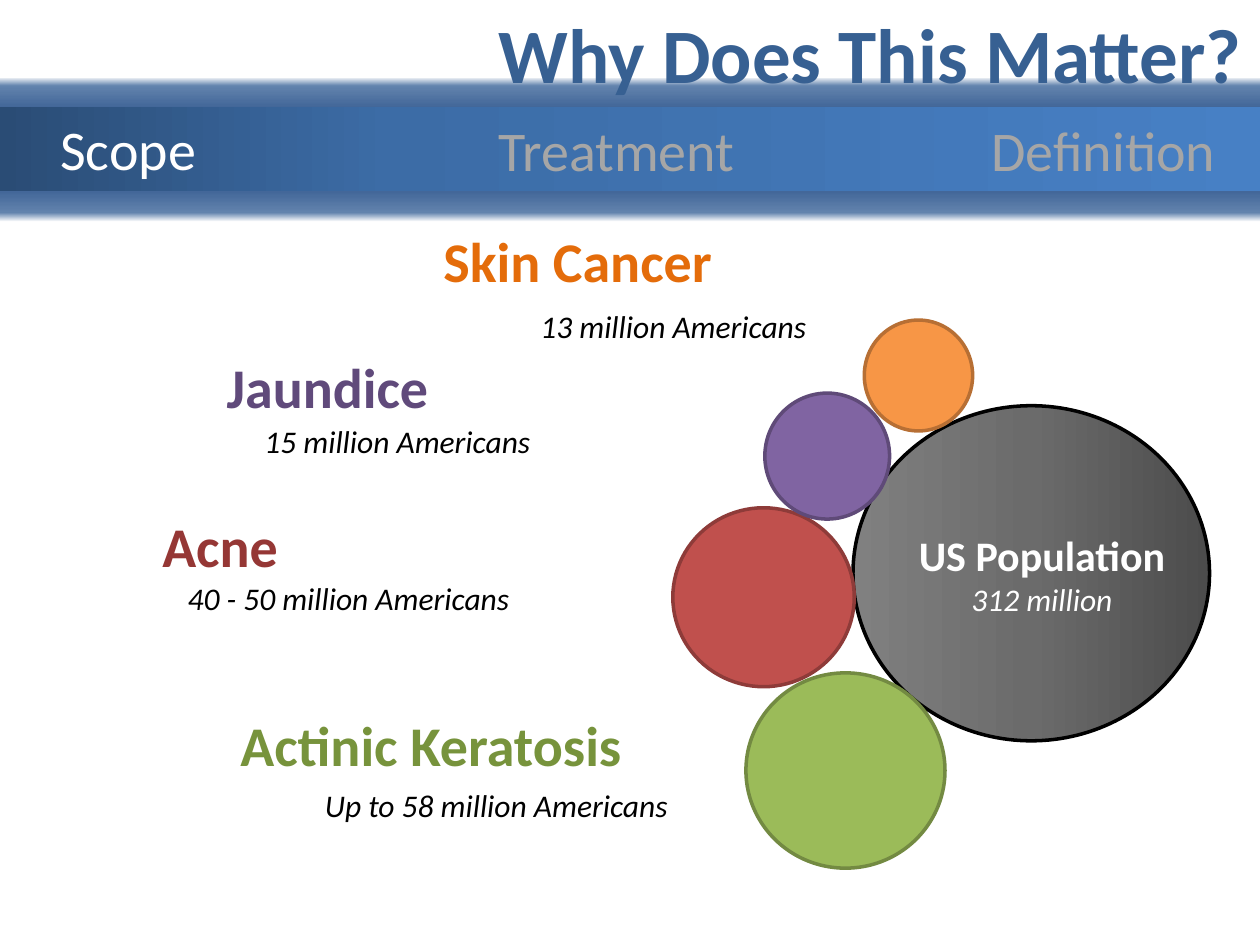
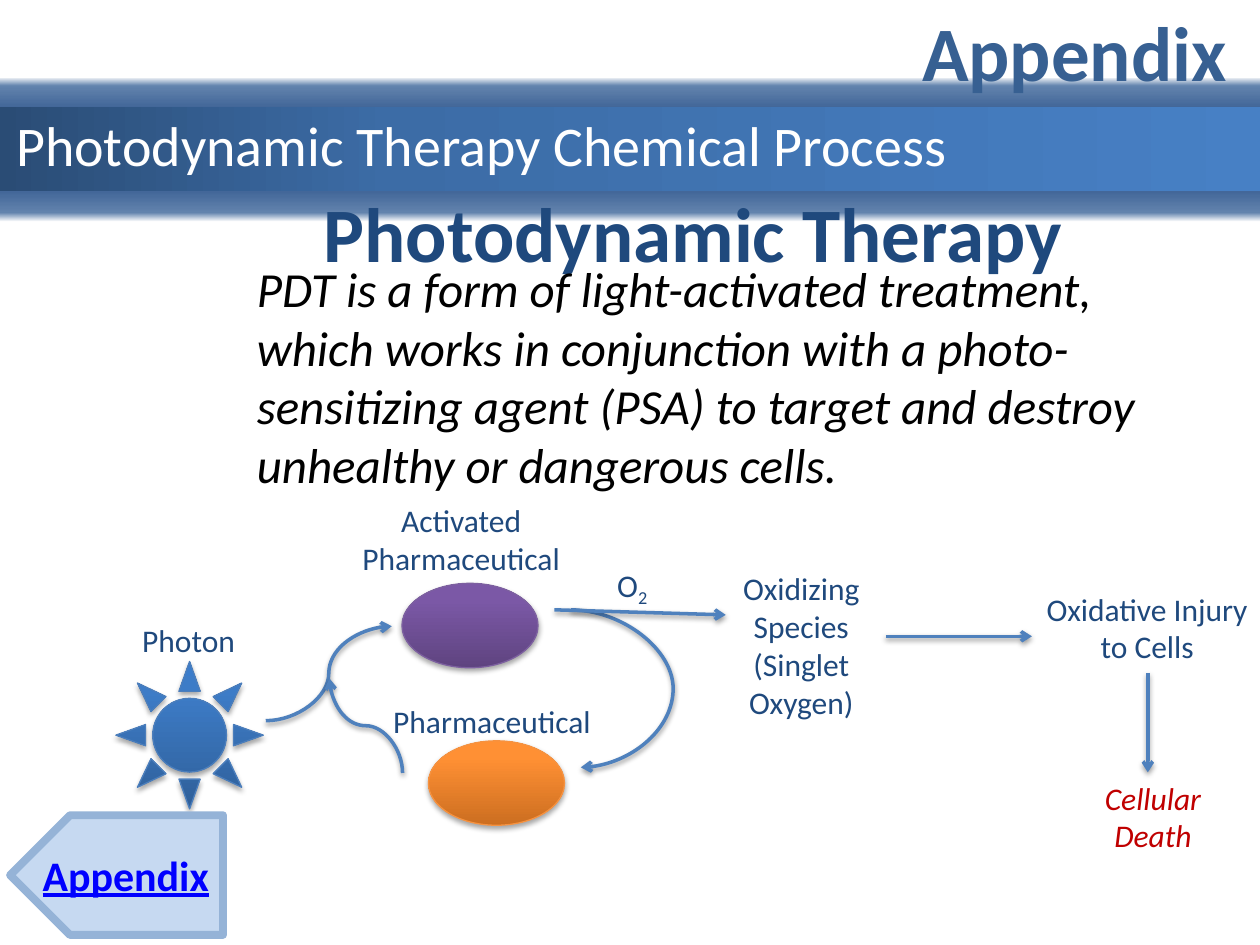
import pptx
import pptx.util
import pptx.oxml
import pptx.oxml.ns
import pptx.dml.color
import pptx.enum.shapes
import pptx.enum.text

RGB = pptx.dml.color.RGBColor
SHAPE = pptx.enum.shapes.MSO_SHAPE
CONNECTOR = pptx.enum.shapes.MSO_CONNECTOR
CENTER = pptx.enum.text.PP_ALIGN.CENTER
Pt = pptx.util.Pt
qn = pptx.oxml.ns.qn
NS = pptx.oxml.ns.nsdecls("a")

# Colours
WHITE = RGB(0xFF, 0xFF, 0xFF)
BLACK = RGB(0, 0, 0)
TITLE = RGB(0x37, 0x60, 0x92)
NAVY = RGB(0x1F, 0x49, 0x7D)
ARROW = RGB(0x4F, 0x81, 0xBD)
FADED = RGB(0xA6, 0xA6, 0xA6)
DARK_RED = RGB(0xC0, 0, 0)
LINK = RGB(0, 0, 0xFF)
PALE_BLUE = RGB(0xC6, 0xD9, 0xF1)
TAG_EDGE = RGB(0x95, 0xB3, 0xD7)
ORANGE = RGB(0xF7, 0x96, 0x46)
ORANGE_EDGE = RGB(0xB7, 0x6F, 0x34)
ORANGE_TEXT = RGB(0xE4, 0x6C, 0x0A)
PURPLE = RGB(0x80, 0x64, 0xA2)
PURPLE_EDGE = RGB(0x5F, 0x4A, 0x78)
PURPLE_TEXT = RGB(0x60, 0x4A, 0x7B)
RED = RGB(0xC0, 0x50, 0x4D)
RED_EDGE = RGB(0x8E, 0x3B, 0x39)
RED_TEXT = RGB(0x95, 0x37, 0x35)
GREEN = RGB(0x9B, 0xBB, 0x59)
GREEN_EDGE = RGB(0x73, 0x8A, 0x42)
GREEN_TEXT = RGB(0x77, 0x93, 0x3C)
SUN_EDGE = RGB(0x4B, 0x7E, 0xBC)
ACTIVE_EDGE = RGB(0x7D, 0x60, 0xA0)
DRUG_EDGE = RGB(0xF6, 0x92, 0x40)

# Gradients: (position in percent, colour)
BAND = [(0, RGB(0x2A, 0x4C, 0x75)), (31, RGB(0x3C, 0x6C, 0xA6)), (100, RGB(0x47, 0x80, 0xC5))]
GLOW = [(0, RGB(0x43, 0x67, 0x99)), (70, RGB(0x62, 0x83, 0xAD)), (100, WHITE)]
GREY = [(0, RGB(0x4C, 0x4C, 0x4C)), (50, RGB(0x6B, 0x6B, 0x6B)), (100, RGB(0x80, 0x80, 0x80))]
SUN = [(0, RGB(0x2F, 0x5F, 0x99)), (80, RGB(0x3D, 0x7C, 0xC7)), (100, RGB(0x3A, 0x7C, 0xCB))]
ACTIVE = [(0, RGB(0x5F, 0x44, 0x80)), (80, RGB(0x7B, 0x58, 0xA6)), (100, RGB(0x7C, 0x57, 0xA8))]
DRUG = [(0, RGB(0xCC, 0x6E, 0x20)), (80, RGB(0xFF, 0x90, 0x34)), (100, RGB(0xFF, 0x91, 0x36))]

COLS, ROWS = 100, 75


class Deck:
    """Slides on a grid of 100 columns by 75 rows."""

    font = "Calibri"

    def __init__(self):
        self.prs = pptx.Presentation()
        self.prs.slide_width = pptx.util.Inches(10)
        self.prs.slide_height = pptx.util.Inches(7.5)
        self.s = None

    def grid(self, *cells):
        """Turn alternating columns and rows into lengths."""
        units = self.prs.slide_width / COLS, self.prs.slide_height / ROWS
        return [round(n * units[i % 2]) for i, n in enumerate(cells)]

    def slide(self, title, title_box):
        self.s = self.prs.slides.add_slide(self.prs.slide_layouts[6])
        self.shape(SHAPE.RECTANGLE, (0, 6.1, 100, 2.4), GLOW, angle=270)
        self.shape(SHAPE.RECTANGLE, (0, 15.2, 100, 2.4), GLOW, angle=90)
        self.shape(SHAPE.RECTANGLE, (0, 8.5, 100, 6.7), BAND)
        self.text(title, title_box, 44, TITLE, bold=True, wrap=False)

    def shadow(self, sp, opacity, distance):
        spPr = sp._element.spPr
        for old in spPr.findall(qn("a:effectLst")):
            spPr.remove(old)
        spPr.append(pptx.oxml.parse_xml(
            f'<a:effectLst {NS}><a:outerShdw blurRad="{Pt(3.1)}" dist="{Pt(distance)}" '
            f'dir="5400000" rotWithShape="0"><a:srgbClr val="000000">'
            f'<a:alpha val="{opacity * 1000}"/></a:srgbClr></a:outerShdw></a:effectLst>'))

    def shape(self, kind, box, fill, edge=None, width=2.0, angle=0, shadow=False):
        sp = self.s.shapes.add_shape(kind, *self.grid(*box))
        sp.shadow.inherit = False
        if isinstance(fill, list):
            stops = "".join(f'<a:gs pos="{pos * 1000}"><a:srgbClr val="{color}"/></a:gs>'
                            for pos, color in fill)
            sp._element.spPr.find(qn("a:prstGeom")).addnext(pptx.oxml.parse_xml(
                f'<a:gradFill {NS} rotWithShape="1"><a:gsLst>{stops}</a:gsLst>'
                f'<a:lin ang="{angle * 60000}" scaled="0"/></a:gradFill>'))
        else:
            sp.fill.solid()
            sp.fill.fore_color.rgb = fill
        if edge is None:
            sp.line.fill.background()
        else:
            sp.line.color.rgb = edge
            sp.line.width = Pt(width)
        if shadow:
            self.shadow(sp, 35, 1.8)
        return sp

    def text(self, text, box, size, color, bold=False, italic=False, align=None, wrap=True):
        tf = self.s.shapes.add_textbox(*self.grid(*box)).text_frame
        tf.word_wrap = wrap
        tf.auto_size = pptx.enum.text.MSO_AUTO_SIZE.SHAPE_TO_FIT_TEXT
        tf.text = text
        for p in tf.paragraphs:
            p.alignment = align
            for r in p.runs:
                self.style(r, size, color, bold, italic)
        return tf

    def style(self, r, size, color, bold=False, italic=False):
        r.font.name = self.font
        r.font.size = Pt(size)
        r.font.color.rgb = color
        r.font.bold = bold
        r.font.italic = italic

    def arrow(self, ends, kind=CONNECTOR.STRAIGHT, turn=0, bend=None):
        sp = self.s.shapes.add_connector(kind, *self.grid(*ends))
        sp.line.color.rgb = ARROW
        sp.line.width = Pt(2)
        sp.line._get_or_add_ln().append(pptx.oxml.parse_xml(f'<a:tailEnd {NS} type="arrow"/>'))
        spPr = sp._element.spPr
        if turn:
            spPr.find(qn("a:xfrm")).set("rot", str(turn * 60000))
        if bend is not None:
            geom = spPr.find(qn("a:prstGeom"))
            for old in list(geom):
                geom.remove(old)
            geom.append(pptx.oxml.parse_xml(
                f'<a:avLst {NS}><a:gd name="adj1" fmla="val {round(bend * 100000)}"/></a:avLst>'))
        self.shadow(sp, 38, 1.6)


def scope_slide(deck):
    deck.slide("Why Does This Matter?", (38.6, 0, 61.7, 8.4))

    # Section names on the band
    for name, box, color in [("Scope", (3.8, 8.6, 16.2, 6.4), WHITE),
                             ("Treatment", (38.6, 8.7, 21, 6.4), FADED),
                             ("Definition", (77.7, 8.7, 21, 6.4), FADED)]:
        deck.text(name, box, 32, color)

    # Population circle
    deck.shape(SHAPE.OVAL, (67.7, 32.2, 28.3, 26.6), GREY, BLACK, angle=180)
    tf = deck.text("US Population\n312 million", (71.8, 41.5, 21.8, 8.1), 24, WHITE,
                   bold=True, align=CENTER, wrap=False)
    deck.style(tf.paragraphs[1].runs[0], 18, WHITE, italic=True)

    # Conditions: name, its box, its colour, count, its box, circle, fill, edge
    conditions = [
        ("Acne", (11.9, 40.1, 11.3, 6.4), RED_TEXT,
         "40 - 50 million Americans", (13.9, 45.5, 27.8, 4),
         (53.4, 40.3, 14.4, 14.2), RED, RED_EDGE),
        ("Actinic Keratosis", (18.1, 55.9, 32.6, 6.4), GREEN_TEXT,
         "Up to 58 million Americans", (24.8, 61.9, 29.7, 4),
         (59.2, 53.4, 15.8, 15.5), GREEN, GREEN_EDGE),
        ("Skin Cancer", (34.2, 17.5, 23.5, 6.4), ORANGE_TEXT,
         "13 million Americans", (41.9, 23.9, 23.5, 4),
         (68.6, 25.4, 8.6, 8.8), ORANGE, ORANGE_EDGE),
        ("Jaundice", (17, 27.5, 18.2, 6.4), PURPLE_TEXT,
         "15 million Americans", (20, 33, 23.5, 4),
         (60.7, 31.2, 9.9, 10), PURPLE, PURPLE_EDGE),
    ]
    for name, name_box, color, count, count_box, circle, fill, edge in conditions:
        deck.shape(SHAPE.OVAL, circle, fill, edge)
        deck.text(name, name_box, 32, color, bold=True, wrap=False)
        deck.text(count, count_box, 18, BLACK, italic=True, wrap=False)


def therapy_slide(deck):
    deck.slide("Appendix", (72.2, -0.1, 27.5, 8.4))
    deck.text("Photodynamic Therapy Chemical Process", (0.3, 8.3, 81.6, 6.4), 32, WHITE)

    # Definition
    deck.text("Photodynamic Therapy", (24.7, 14.2, 61.2, 8.4), 44, NAVY, bold=True, wrap=False)
    deck.text("PDT is a form of light-activated treatment, which works in conjunction with a "
              "photo-sensitizing agent (PSA) to target and destroy unhealthy or dangerous cells.",
              (19.4, 20, 76.7, 19.9), 28, BLACK, italic=True)

    # Light source and drug states
    for kind, box, fill, edge in [
            (SHAPE.SUN, (9.2, 52.5, 11.7, 11.7), SUN, SUN_EDGE),
            (SHAPE.OVAL, (31.9, 46.3, 10.8, 6.7), ACTIVE, ACTIVE_EDGE),
            (SHAPE.OVAL, (34, 58.8, 10.8, 6.7), DRUG, DRUG_EDGE)]:
        deck.shape(kind, box, fill, edge, 0.75, angle=270, shadow=True)

    # Reaction arrows
    deck.arrow((21.1, 57.2, 31.1, 49.7), CONNECTOR.CURVE)
    deck.arrow((25.3, 60.5, 32.8, 54.7), CONNECTOR.CURVE, turn=270)
    deck.arrow((45.3, 48.4, 46.1, 60.9), CONNECTOR.CURVE, bend=10.17)
    for ends in [(44, 48.4, 57.6, 48.8), (70.3, 50.5, 81.9, 50.5), (91.1, 53.4, 91.1, 61.3)]:
        deck.arrow(ends)

    # Reaction labels
    for label, box in [("Activated Pharmaceutical", (27.6, 39.3, 18, 7.1)),
                       ("Pharmaceutical", (29.5, 55.2, 19.1, 4)),
                       ("Oxidizing Species\n(Singlet Oxygen)", (56.1, 44.7, 15, 13.1)),
                       ("Oxidative Injury to Cells", (81.9, 46.3, 18.3, 7.1))]:
        deck.text(label, box, 18, NAVY, align=CENTER)
    deck.text("Photon", (10.3, 48.8, 9.5, 4), 18, NAVY, wrap=False)
    deck.text("Cellular Death", (84.4, 61.3, 14.2, 7.1), 18, DARK_RED, italic=True, align=CENTER)
    p = deck.text("O", (48, 44.4, 4.5, 4), 18, NAVY, wrap=False).paragraphs[0]
    r = p.add_run()
    r.text = "2"
    deck.style(r, 18, NAVY)
    r.font._element.set("baseline", "-25000")

    # Appendix tag
    sp = deck.shape(SHAPE.PENTAGON, (0.8, 64.7, 16.9, 9.5), PALE_BLUE, TAG_EDGE, 4.5)
    sp.rotation = 180
    tf = deck.text("Appendix", (2.4, 66.9, 15.4, 5), 24, LINK, bold=True)
    tf.paragraphs[0].runs[0].font.underline = True


def main():
    deck = Deck()
    scope_slide(deck)
    therapy_slide(deck)
    deck.prs.save("out.pptx")


if __name__ == "__main__":
    main()
